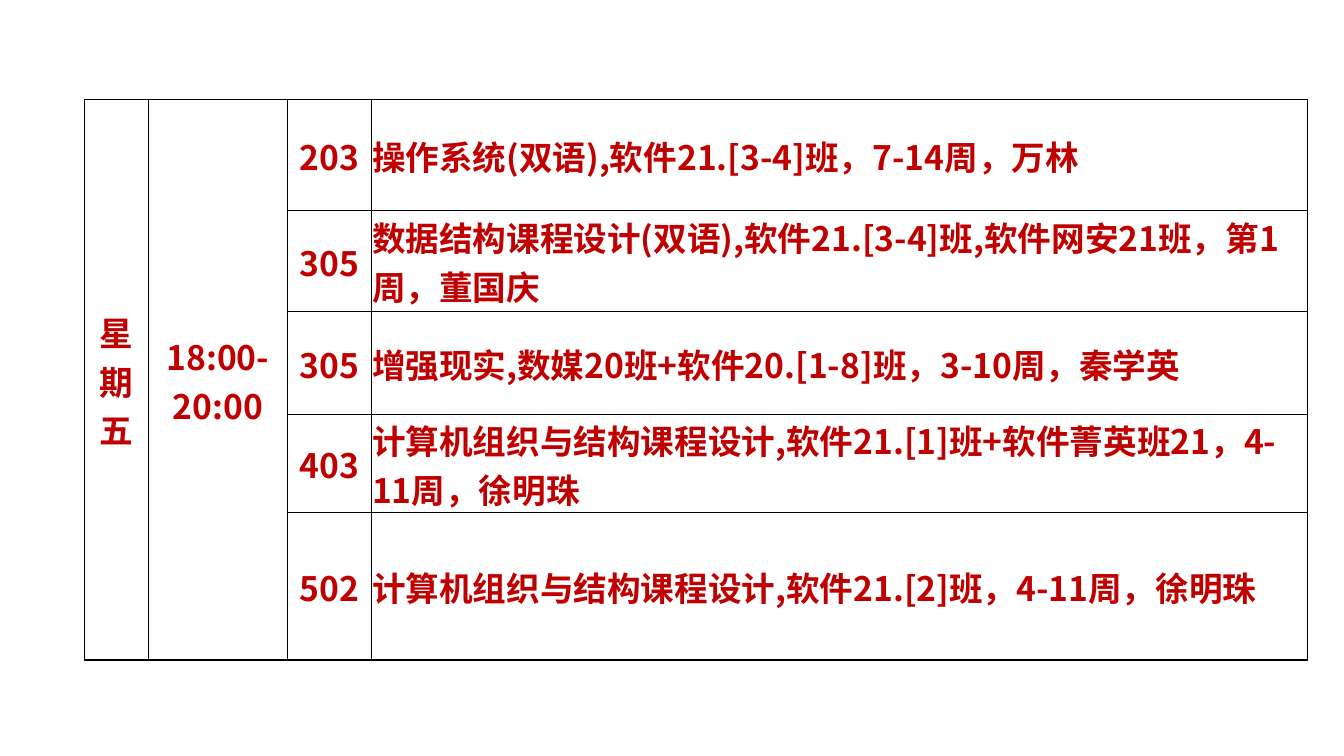
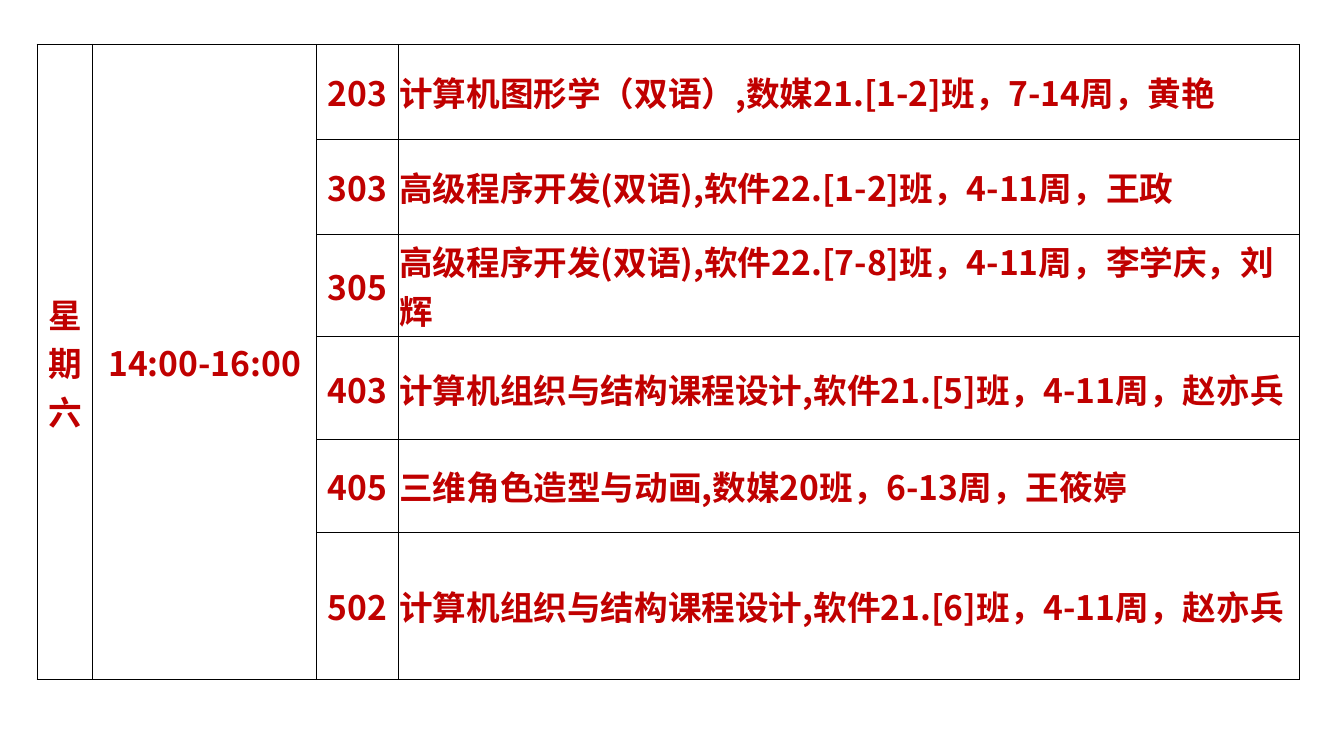
"""Build two weekly timetable slides, one table per day."""
from dataclasses import dataclass

from lxml import etree
from pptx import Presentation
from pptx import util as u
from pptx.dml.color import RGBColor
from pptx.enum import text
from pptx.oxml.ns import qn
from pptx.slide import Slide
from pptx.table import _Cell as Cell

PX = 9144
MERGED_COLUMNS = (0, 1)
COURSE_COLUMN = 3


@dataclass(frozen=True)
class Theme:
    ink: str = "C00000"
    rule: str = "000000"
    paper: str = "FFFFFF"
    font: str = "Noto Sans CJK SC"
    size: int = 24
    inner_line: float = 0.5
    outer_line: float = 1


@dataclass(frozen=True)
class Lesson:
    room: str
    course: str
    height: int


@dataclass(frozen=True)
class Timetable:
    day: str
    hours: str
    left: int
    top: int
    widths: tuple[int, ...]
    lessons: tuple[Lesson, ...]


THEME = Theme()

TIMETABLES = (
    Timetable("星期五", "18:00-20:00", 84, 99, (63, 138, 83, 929), (
        Lesson("203", "操作系统(双语),软件21.[3-4]班，7-14周，万林", 110),
        Lesson("305", "数据结构课程设计(双语),软件21.[3-4]班,软件网安21班，第1周，董国庆", 100),
        Lesson("305", "增强现实,数媒20班+软件20.[1-8]班，3-10周，秦学英", 102),
        Lesson("403", "计算机组织与结构课程设计,软件21.[1]班+软件菁英班21，4-11周，徐明珠", 96),
        Lesson("502", "计算机组织与结构课程设计,软件21.[2]班，4-11周，徐明珠", 110),
    )),
    Timetable("星期六", "14:00-16:00", 37, 44, (55, 222, 81, 894), (
        Lesson("203", "计算机图形学（双语）,数媒21.[1-2]班，7-14周，黄艳", 94),
        Lesson("303", "高级程序开发(双语),软件22.[1-2]班，4-11周，王政", 94),
        Lesson("305", "高级程序开发(双语),软件22.[7-8]班，4-11周，李学庆，刘辉", 102),
        Lesson("403", "计算机组织与结构课程设计,软件21.[5]班，4-11周，赵亦兵", 102),
        Lesson("405", "三维角色造型与动画,数媒20班，6-13周，王筱婷", 92),
        Lesson("502", "计算机组织与结构课程设计,软件21.[6]班，4-11周，赵亦兵", 102),
    )),
)


def px(length: int) -> u.Emu:
    """Turn pixels into EMU."""
    return u.Emu(length * PX)


def draw_border(cell: Cell, side: str, outer: bool) -> None:
    """Draw one side of a cell, heavier on the table's rim."""
    width = THEME.outer_line if outer else THEME.inner_line
    line = etree.SubElement(cell._tc.get_or_add_tcPr(), qn(f"a:ln{side}"), w=str(u.Pt(width)))
    fill = etree.SubElement(line, qn("a:solidFill"))
    etree.SubElement(fill, qn("a:srgbClr"), val=THEME.rule)


def style_cell(cell: Cell, row: int, column: int, last_row: int) -> None:
    """Set a cell's insets, anchor, borders and fill."""
    cell.margin_left = cell.margin_right = cell.margin_top = px(1)
    cell.margin_bottom = 0
    cell.vertical_anchor = text.MSO_ANCHOR.MIDDLE
    bottom = last_row if cell.is_merge_origin else row
    draw_border(cell, "L", column == 0)
    draw_border(cell, "R", column == COURSE_COLUMN)
    if not cell.is_spanned:
        draw_border(cell, "T", row == 0)
    if not cell.is_spanned or row == last_row:
        draw_border(cell, "B", bottom == last_row)
    cell.fill.background()


def write_cell(cell: Cell, words: str, centred: bool) -> None:
    """Write bold text in the theme's font and ink."""
    para = cell.text_frame.paragraphs[0]
    para.add_run().text = words
    para.alignment = text.PP_ALIGN.CENTER if centred else text.PP_ALIGN.LEFT
    para.font.name = THEME.font
    para.font.size = u.Pt(THEME.size)
    para.font.bold = True
    para.font.color.rgb = RGBColor.from_string(THEME.ink)
    defaults = para._p.pPr.find(qn("a:defRPr"))
    defaults.set("lang", "zh-CN")
    etree.SubElement(defaults, qn("a:ea"), typeface=THEME.font)


def draw_timetable(page: Slide, plan: Timetable) -> None:
    """Draw one day's rooms and courses as a table."""
    height = sum(lesson.height for lesson in plan.lessons)
    table = page.shapes.add_table(
        len(plan.lessons), len(plan.widths),
        px(plan.left), px(plan.top), px(sum(plan.widths)), px(height),
    ).table
    table.first_row = table.horz_banding = False
    last_row = len(plan.lessons) - 1
    for column, width in enumerate(plan.widths):
        table.columns[column].width = px(width)
    for column in MERGED_COLUMNS:
        table.cell(0, column).merge(table.cell(last_row, column))
    for row, lesson in enumerate(plan.lessons):
        table.rows[row].height = px(lesson.height)
        for column, words in enumerate((plan.day, plan.hours, lesson.room, lesson.course)):
            cell = table.cell(row, column)
            style_cell(cell, row, column, last_row)
            if not cell.is_spanned:
                write_cell(cell, words, column != COURSE_COLUMN)


def main() -> None:
    """Build and save the deck."""
    deck = Presentation()
    deck.slide_width, deck.slide_height = px(1333), px(750)
    paper = deck.slide_master.background.fill
    paper.solid()
    paper.fore_color.rgb = RGBColor.from_string(THEME.paper)
    for plan in TIMETABLES:
        draw_timetable(deck.slides.add_slide(deck.slide_layouts[6]), plan)
    deck.save("out.pptx")


if __name__ == "__main__":
    main()
